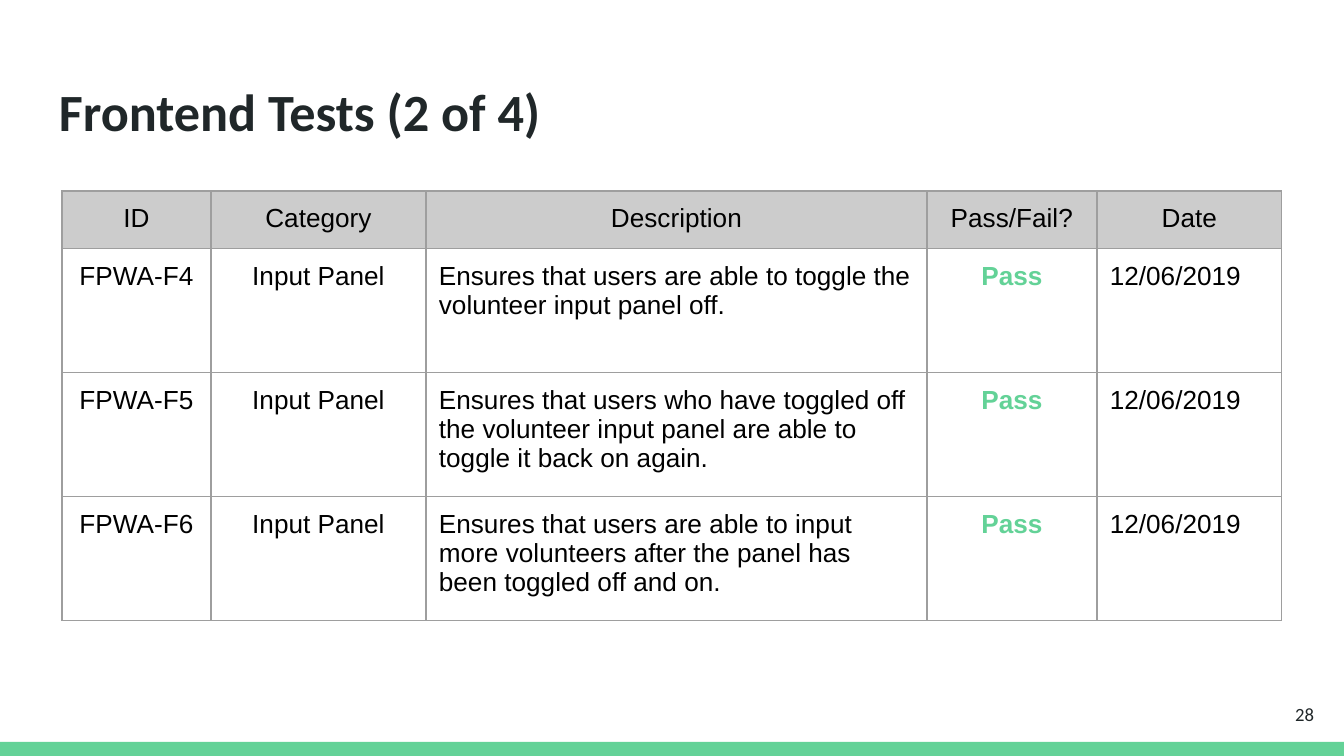
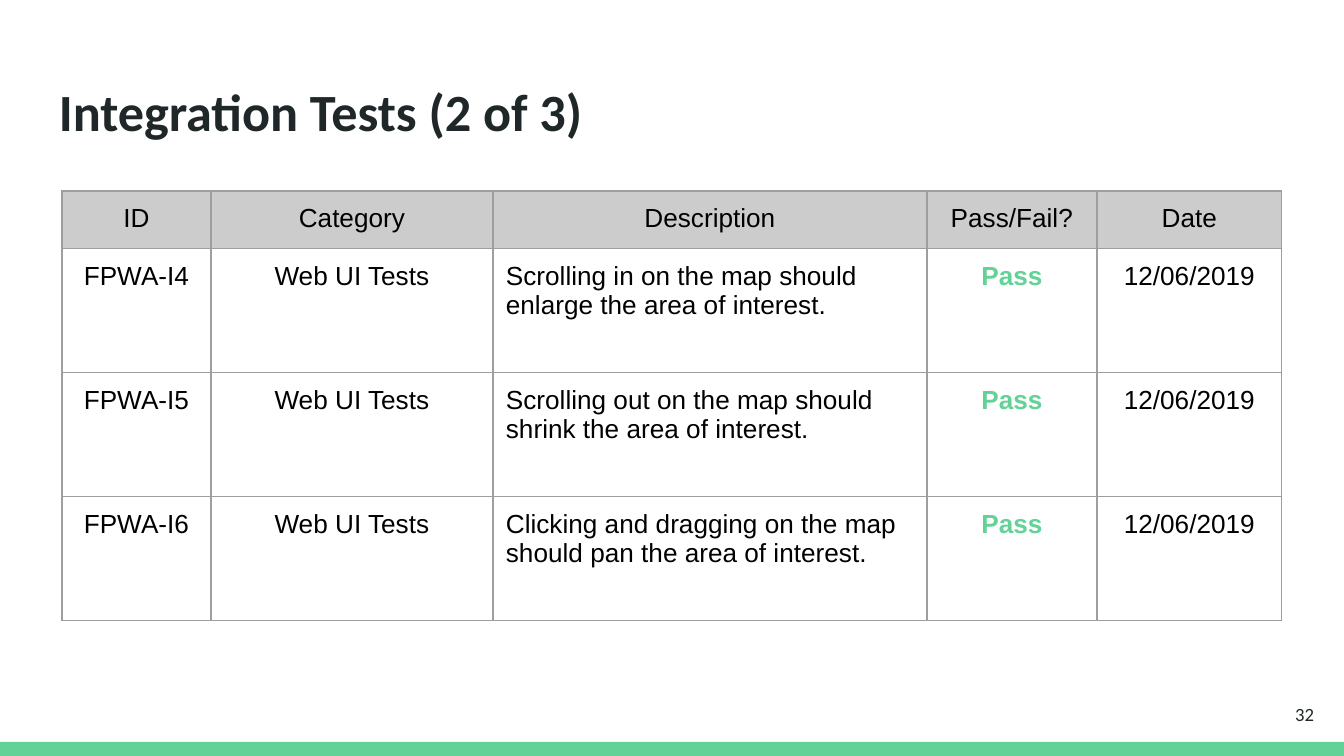
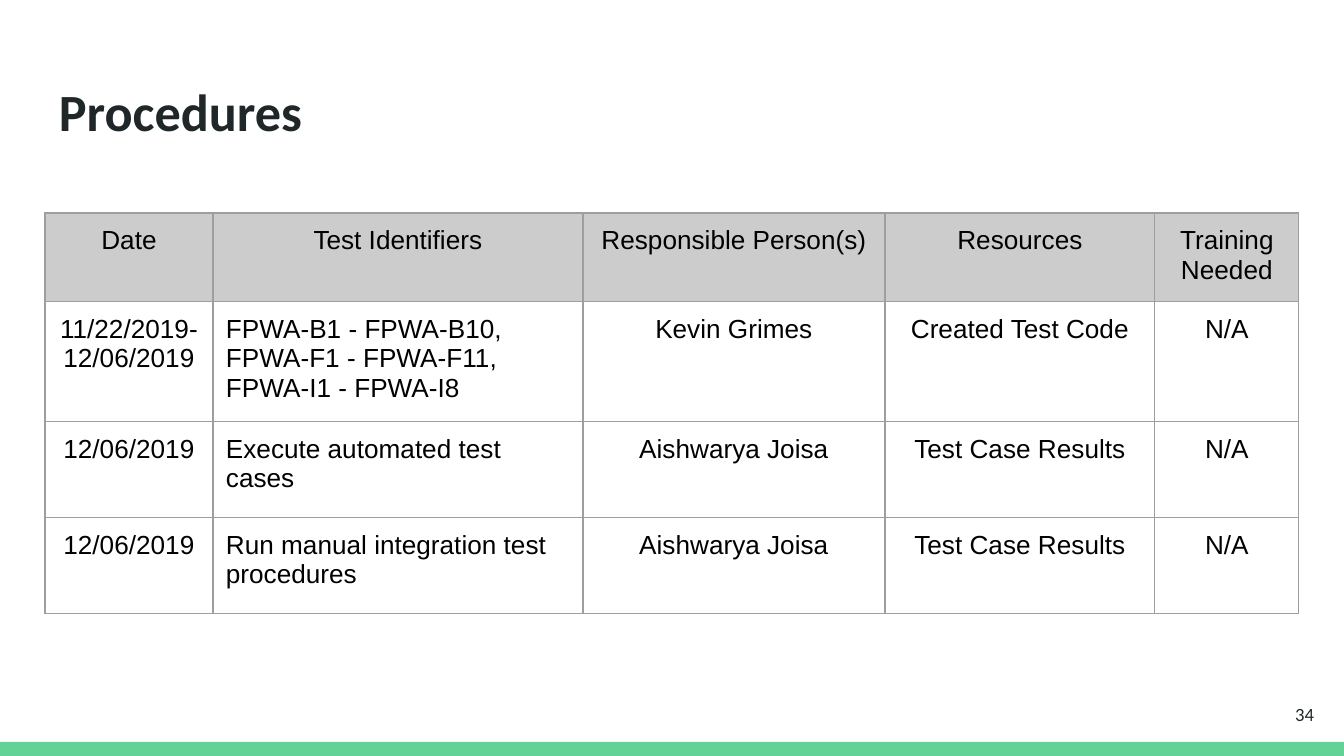
import pptx
import pptx.util
import pptx.dml.color
import pptx.enum.shapes
import pptx.enum.text
import pptx.oxml
import pptx.oxml.ns

HUES = {"band": "63D297", "title": "202729", "text": "000000",
        "head": "CCCCCC", "rule": "9E9E9E", "page": "FFFFFF"}
WIDE, HIGH = 1344, 756
PAD = 13
BAND = (0, 742, WIDE, 14)
TITLE = (46, 66, 1253, 85)
FOOT = (1246, 686, 81, 57)
ALIGN = pptx.enum.text.PP_ALIGN
ANCHOR = pptx.enum.text.MSO_ANCHOR
TESTS = ["ID", "Category", "Description", "Pass/Fail?", "Date"]


def px(size):
    return pptx.util.Emu(round(size * 914400 / 134.4))


def hue(name):
    return pptx.dml.color.RGBColor.from_string(HUES[name])


def write(frame, text, font, size, tone, bold=False, align=ALIGN.LEFT):
    para = frame.paragraphs[0]
    para.alignment = align
    run = para.add_run()
    run.text = text
    run.font.name = font
    run.font.size = pptx.util.Pt(size)
    run.font.bold = bold
    run.font.color.rgb = hue(tone)


def pad(item):
    item.margin_left = item.margin_right = px(PAD)
    item.margin_top = item.margin_bottom = px(PAD)


def label(slide, box, text, size, bold, align, anchor):
    frame = slide.shapes.add_textbox(*map(px, box)).text_frame
    frame.word_wrap = True
    frame.vertical_anchor = anchor
    pad(frame)
    write(frame, text, "Calibri", size, "title", bold, align)


def base(deck, title, page):
    slide = deck.slides.add_slide(deck.slide_layouts[6])
    slide.background.fill.solid()
    slide.background.fill.fore_color.rgb = hue("page")
    band = slide.shapes.add_shape(
        pptx.enum.shapes.MSO_SHAPE.RECTANGLE, *map(px, BAND))
    band.shadow.inherit = False
    band.fill.solid()
    band.fill.fore_color.rgb = hue("band")
    band.line.fill.background()
    label(slide, TITLE, title, 28, True, ALIGN.LEFT, ANCHOR.TOP)
    label(slide, FOOT, page, 10, False, ALIGN.RIGHT, ANCHOR.MIDDLE)
    return slide


def edge(cell):
    props = cell._tc.get_or_add_tcPr()
    space = pptx.oxml.ns.nsdecls("a")
    for side in "LRTB":
        props.append(pptx.oxml.parse_xml(
            f'<a:ln{side} {space} w="9525"><a:solidFill>'
            f'<a:srgbClr val="{HUES["rule"]}"/></a:solidFill></a:ln{side}>'))


def fill(cell, text, head, left):
    edge(cell)
    pad(cell)
    if head:
        cell.fill.solid()
        cell.fill.fore_color.rgb = hue("head")
    else:
        cell.fill.background()
    passed = text == "Pass"
    write(cell.text_frame, text, "Arial", 14, "band" if passed else "text",
          passed, ALIGN.LEFT if left and not head else ALIGN.CENTER)


def grid(slide, spot, cols, highs, rows, lefts):
    box = (*spot, sum(cols), sum(highs))
    table = slide.shapes.add_table(
        len(rows), len(cols), *map(px, box)).table
    table.first_row = table.horz_banding = False
    for col, wide in zip(table.columns, cols):
        col.width = px(wide)
    for row, high in zip(table.rows, highs):
        row.height = px(high)
    for down, row in enumerate(rows):
        for over, text in enumerate(row):
            fill(table.cell(down, over), text, down == 0, over in lefts)


def tests(deck, title, page, code, kind, split, notes, lefts):
    slide = base(deck, title, page)
    rows = [TESTS] + [
        [f"FPWA-{code}{num}", kind, note, "Pass", "12/06/2019"]
        for num, note in enumerate(notes, 4)]
    grid(slide, (62, 191), [149, *split, 170, 185],
         [57] + [124] * len(notes), rows, lefts)


def steps(deck):
    slide = base(deck, "Procedures", "34")
    rows = [
        ["Date", "Test Identifiers", "Responsible Person(s)",
         "Resources", "Training Needed"],
        ["11/22/2019-12/06/2019",
         "FPWA-B1 - FPWA-B10, FPWA-F1 - FPWA-F11, FPWA-I1 - FPWA-I8",
         "Kevin Grimes", "Created Test Code", "N/A"]]
    for task in ("Execute automated test cases",
                 "Run manual integration test procedures"):
        rows.append(["12/06/2019", task, "Aishwarya Joisa",
                     "Test Case Results", "N/A"])
    grid(slide, (45, 213), [168, 370, 302, 270, 144],
         [88, 96, 96, 96], rows, {1})


def main():
    deck = pptx.Presentation()
    deck.slide_width, deck.slide_height = px(WIDE), px(HIGH)
    tests(deck, "Frontend Tests (2 of 4)", "28", "F", "Input Panel",
          [215, 501], [
              "Ensures that users are able to toggle the volunteer "
              "input panel off.",
              "Ensures that users who have toggled off the volunteer "
              "input panel are able to toggle it back on again.",
              "Ensures that users are able to input more volunteers "
              "after the panel has been toggled off and on."], {2, 4})
    tests(deck, "Integration Tests (2 of 3)", "32", "I", "Web UI Tests",
          [282, 434], [
              "Scrolling in on the map should enlarge the area of interest.",
              "Scrolling out on the map should shrink the area of interest.",
              "Clicking and dragging on the map should pan the area "
              "of interest."], {2})
    steps(deck)
    deck.save("out.pptx")


if __name__ == "__main__":
    main()
